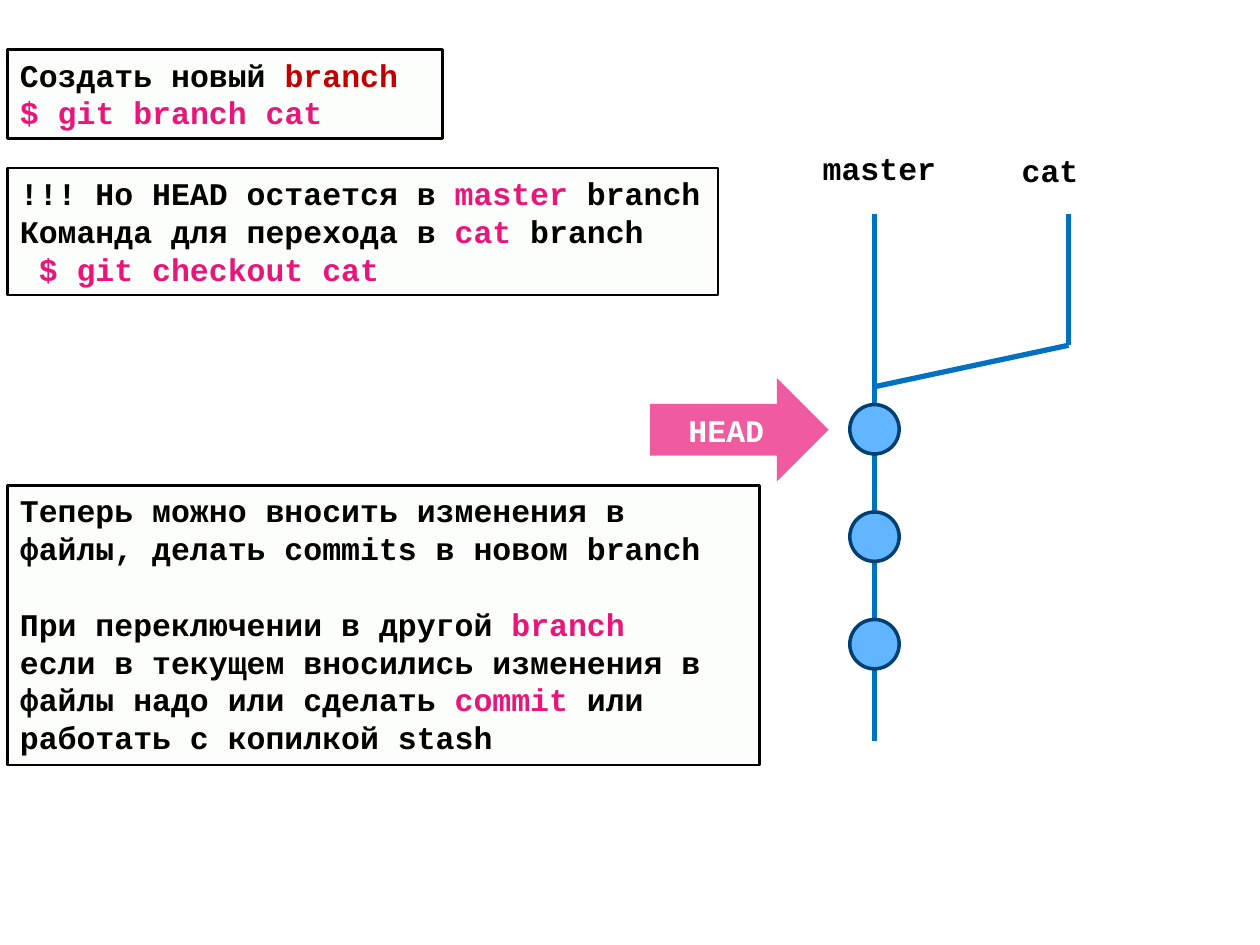
from lxml.etree import SubElement
from pptx import Presentation
from pptx.dml.color import RGBColor
from pptx.enum.shapes import MSO_CONNECTOR, MSO_SHAPE as SHAPE
from pptx.enum.text import MSO_ANCHOR as ANCHOR, MSO_AUTO_SIZE as FIT, PP_ALIGN as ALIGN
from pptx.oxml.ns import qn
from pptx.util import Pt

BLACK = RGBColor(0x00, 0x00, 0x00)
WHITE = RGBColor(0xFF, 0xFF, 0xFF)
PINK = RGBColor(0xEA, 0x15, 0x7A)
RED = RGBColor(0xC0, 0x00, 0x00)
MINT = RGBColor(0xE5, 0xF6, 0xD8)
BLUE = RGBColor(0x00, 0x70, 0xC0)
SKY = RGBColor(0x61, 0xB6, 0xFF)
NAVY = RGBColor(0x00, 0x40, 0x70)

FONT = "Courier New"
SIZE = 18
TRUNK_X, BRANCH_X = 499.7, 610.6
TOP_Y, BEND_Y, FORK_Y, END_Y = 122.4, 197.3, 221, 423.4
COMMIT_Y, COMMIT_STEP, COMMIT_SIZE = 231.2, 61.4, 28.2


def add_run(p, text, color):
    r = p.add_run()
    r.text = text
    r.font.name = FONT
    r.font.size = Pt(SIZE)
    r.font.bold = True
    r.font.color.rgb = color


def write_lines(tf, lines, align=ALIGN.LEFT):
    for i, line in enumerate(lines):
        p = tf.paragraphs[0] if i == 0 else tf.add_paragraph()
        p.alignment = align
        for text, color in line:
            add_run(p, text, color)


def add_figure(s, kind, box, fill, alpha=100, line=None, width=0):
    sp = s.shapes.add_shape(kind, *map(Pt, box))
    sp.shadow.inherit = False
    sp.fill.solid()
    sp.fill.fore_color.rgb = fill
    if alpha < 100:
        color = sp.fill._xPr.find(qn("a:solidFill"))[0]
        SubElement(color, qn("a:alpha"), val=str(alpha * 1000))
    if line is None:
        sp.line.fill.background()
    else:
        sp.line.color.rgb = line
        sp.line.width = Pt(width)
    return sp


def add_note(s, box, lines):
    sp = add_figure(s, SHAPE.RECTANGLE, box, MINT, 8, BLACK, 1.5)
    tf = sp.text_frame
    tf.word_wrap = True
    tf.auto_size = FIT.SHAPE_TO_FIT_TEXT
    tf.vertical_anchor = ANCHOR.TOP
    write_lines(tf, lines)
    return tf


def add_label(s, box, text):
    tf = s.shapes.add_textbox(*map(Pt, box)).text_frame
    tf.word_wrap = False
    tf.auto_size = FIT.SHAPE_TO_FIT_TEXT
    write_lines(tf, [[(text, BLACK)]])


def add_line(s, *ends):
    c = s.shapes.add_connector(MSO_CONNECTOR.STRAIGHT, *map(Pt, ends))
    c.line.color.rgb = BLUE
    c.line.width = Pt(3)
    SubElement(c._element.spPr, qn("a:effectLst"))


def add_head(s):
    sp = add_figure(s, SHAPE.RIGHT_ARROW, (371.4, 216, 102.1, 59.1), PINK, 70)
    sp.text_frame.vertical_anchor = ANCHOR.MIDDLE
    write_lines(sp.text_frame, [[("HEAD", WHITE)]], ALIGN.CENTER)


def add_graph(s):
    add_line(s, TRUNK_X, TOP_Y, TRUNK_X, END_Y)
    for i in range(3):
        box = (TRUNK_X - COMMIT_SIZE / 2, COMMIT_Y + i * COMMIT_STEP,
               COMMIT_SIZE, COMMIT_SIZE)
        add_figure(s, SHAPE.OVAL, box, SKY, line=NAVY, width=2)
    add_line(s, BRANCH_X, BEND_Y, TRUNK_X, FORK_Y)
    add_line(s, BRANCH_X, TOP_Y, BRANCH_X, BEND_Y)
    add_label(s, (463, 81.4, 79.9, 28.8), "master")
    add_label(s, (576.7, 82.8, 46.8, 28.8), "cat")


def main():
    prs = Presentation()
    prs.slide_width, prs.slide_height = Pt(720), Pt(540)
    s = prs.slides.add_slide(prs.slide_layouts[6])

    add_graph(s)
    add_head(s)
    add_note(s, (4.3, 28.2, 248.4, 51), [
        [("Cоздать новый ", BLACK), ("branch", RED)],
        [("$ git branch cat", PINK)],
    ])
    add_note(s, (4.3, 95.9, 406.1, 72.7), [
        [("!!! Но HEAD остается в ", BLACK), ("master ", PINK), ("branch", BLACK)],
        [("Команда для перехода в ", BLACK), ("сat", PINK), (" branch", BLACK)],
        [(" ", BLACK), ("$ git checkout cat", PINK)],
    ])
    tf = add_note(s, (4.3, 277.3, 429.8, 159.9), [
        [("Теперь можно вносить изменения в файлы, "
          "делать commits в новом branch", BLACK)],
        [("При переключении в другой ", BLACK), ("branch", PINK)],
        [("если в текущем вносились изменения в файлы надо или сделать ", BLACK),
         ("commit ", PINK), ("или работать с копилкой stash", BLACK)],
    ])
    tf.paragraphs[1].space_before = Pt(21.6)

    prs.save("out.pptx")


if __name__ == "__main__":
    main()
